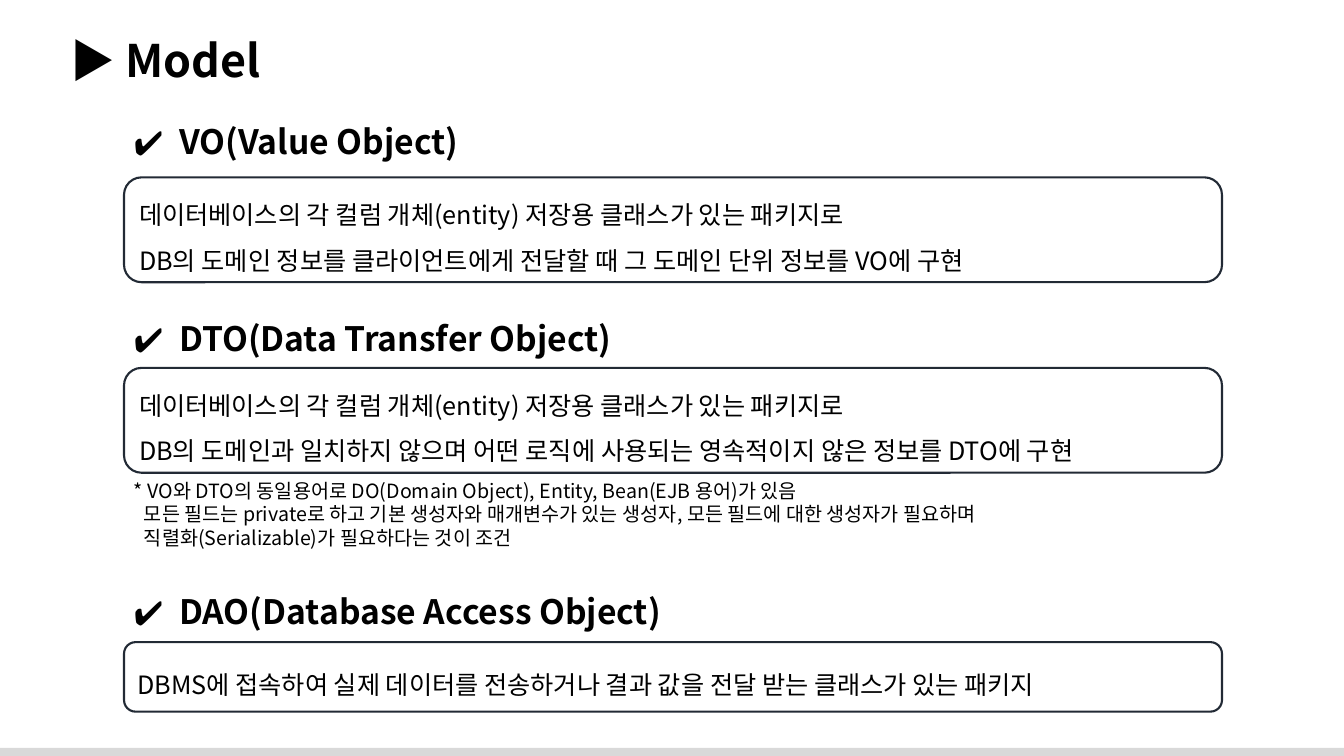
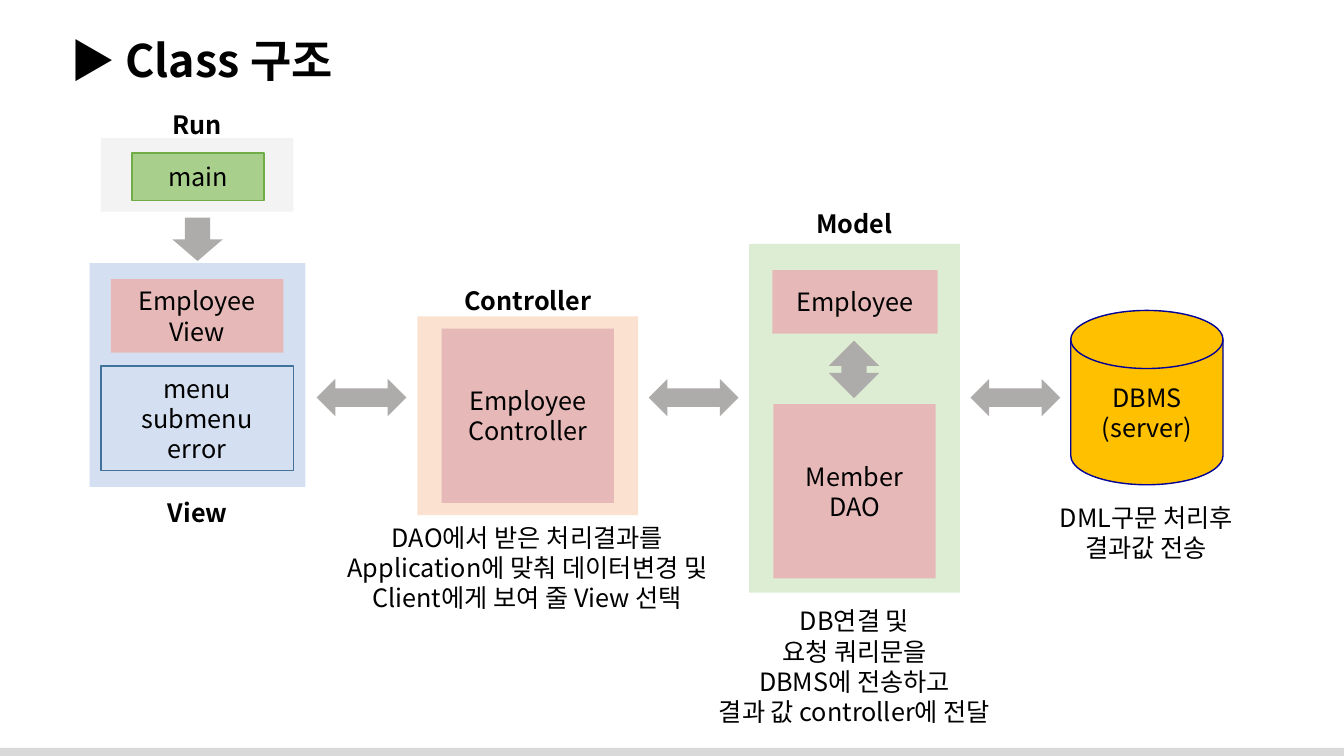
"""Build two slides on the model layer and the class structure of an MVC program."""
import dataclasses
import pptx
import pptx.dml.color
import pptx.enum.shapes
import pptx.enum.text
import pptx.oxml.ns
import pptx.util
from lxml import etree

Inches = pptx.util.Inches
Pt = pptx.util.Pt
RGB = pptx.dml.color.RGBColor.from_string
SHAPE = pptx.enum.shapes.MSO_SHAPE
ALIGN = pptx.enum.text.PP_ALIGN
ANCHOR = pptx.enum.text.MSO_ANCHOR
qn = pptx.oxml.ns.qn


@dataclasses.dataclass(frozen=True)
class Theme:
    font: str = "Noto Sans CJK KR"
    text: str = "000000"
    band: str = "D9D9D9"
    frame: str = "222A35"
    arrow: str = "AEABAB"
    run: str = "EAEAEA"
    view: str = "B3C6E7"
    controller: str = "F7CAAC"
    model: str = "C4E0B2"
    class_box: str = "E6B9B8"
    main: str = "A8D08C"
    main_line: str = "70AD47"
    menu_line: str = "42719B"
    disk: str = "FFC000"
    disk_line: str = "000099"
    title_size: int = 32
    heading_size: int = 24
    body_size: int = 18
    note_size: int = 14


T = Theme()

MODEL_TITLE = "▶ Model"
ENTITY = "데이터베이스의 각 컬럼 개체(entity) 저장용 클래스가 있는 패키지로"
SECTIONS = [
    ("VO(Value Object)", 1.15, 1.76, 1.04,
     [ENTITY, "DB의 도메인 정보를 클라이언트에게 전달할 때 그 도메인 단위 정보를 VO에 구현"]),
    ("DTO(Data Transfer Object)", 3.1, 3.65, 1.04,
     [ENTITY, "DB의 도메인과 일치하지 않으며 어떤 로직에 사용되는 영속적이지 않은 정보를 DTO에 구현"]),
    ("DAO(Database Access Object)", 5.81, 6.37, 0.69,
     ["DBMS에 접속하여 실제 데이터를 전송하거나 결과 값을 전달 받는 클래스가 있는 패키지"]),
]
NOTE = [
    "* VO와 DTO의 동일용어로 DO(Domain Object), Entity, Bean(EJB 용어)가 있음",
    "모든 필드는 private로 하고 기본 생성자와 매개변수가 있는 생성자, 모든 필드에 대한 생성자가 필요하며",
    "직렬화(Serializable)가 필요하다는 것이 조건",
]
LEFT, WIDTH = 1.23, 10.89

CLASS_TITLE = "▶ Class 구조"
PANELS = {
    "Run": ((1, 1.37, 1.91, 0.73), T.run, 1.04),
    "View": ((0.89, 2.61, 2.14, 2.22), T.view, 4.88),
    "Controller": ((4.14, 3.14, 2.19, 1.97), T.controller, 2.78),
    "Model": ((7.43, 2.42, 2.09, 3.46), T.model, 2.02),
}
BOXES = [
    ((1.31, 1.52, 1.31, 0.47), ["main"], T.main, T.main_line),
    ((1.1, 2.77, 1.71, 0.73), ["Employee View"], T.class_box, None),
    ((1, 3.63, 1.91, 1.04), ["menu", "submenu", "error"], None, T.menu_line),
    ((4.38, 3.26, 1.71, 1.73), ["Employee", "Controller"], T.class_box, None),
    ((7.66, 2.68, 1.64, 0.63), ["Employee"], T.class_box, None),
    ((7.67, 4.01, 1.61, 1.73), ["Member", "DAO"], T.class_box, None),
]
DISK = (10.62, 3.08, 1.51, 1.73)
DISK_TEXT = ["DBMS", "(server)"]
CAPTIONS = [
    ((3.12, 5.13, 4.22, 1.01),
     ["DAO에서 받은 처리결과를 Application에 맞춰 데이터변경 및 Client에게 보여 줄 View 선택"]),
    ((6.94, 5.96, 3.07, 1.31),
     ["DB연결 및", "요청 쿼리문을", "DBMS에 전송하고", "결과 값 controller에 전달"]),
    ((10.26, 4.93, 2.22, 0.71), ["DML구문 처리후 결과값 전송"]),
]
VERTICAL_ARROWS = [
    (SHAPE.DOWN_ARROW, (1.71, 2.16, 0.5, 0.43)),
    (SHAPE.UP_DOWN_ARROW, (8.22, 3.38, 0.5, 0.57)),
]
ARROW_TOP, ARROW_W, ARROW_H = 3.76, 0.89, 0.37


def set_all(obj, values):
    for name, value in values.items():
        setattr(obj, name, value)


def write(sp, lines, size=T.body_size, bold=False, align=ALIGN.LEFT,
          spacing=None, anchor=ANCHOR.TOP):
    tf = sp.text_frame
    set_all(tf, {"word_wrap": True, "vertical_anchor": anchor,
                 "margin_left": Inches(0.1), "margin_right": Inches(0.1),
                 "margin_top": Inches(0.05), "margin_bottom": Inches(0.05)})
    for i, line in enumerate(lines):
        p = tf.add_paragraph() if i else tf.paragraphs[0]
        set_all(p, {"alignment": align, "line_spacing": spacing})
        r = p.add_run()
        r.text = line
        set_all(r.font, {"name": T.font, "size": Pt(size), "bold": bold})
        r.font.color.rgb = RGB(T.text)
        etree.SubElement(r._r.get_or_add_rPr(), qn("a:ea"), typeface=T.font)
    return tf.paragraphs


def add_text(s, at, lines, **style):
    return write(s.shapes.add_textbox(*map(Inches, at)), lines, **style)


def add_shape(s, kind, at, fill=None, line=None, line_width=1, alpha=None):
    sp = s.shapes.add_shape(kind, *map(Inches, at))
    sp.shadow.inherit = False
    if fill:
        sp.fill.solid()
        sp.fill.fore_color.rgb = RGB(fill)
    else:
        sp.fill.background()
    if line:
        sp.line.color.rgb = RGB(line)
        sp.line.width = Pt(line_width)
    else:
        sp.line.fill.background()
    if alpha:
        color = sp.element.spPr.find(qn("a:solidFill")).find(qn("a:srgbClr"))
        etree.SubElement(color, qn("a:alpha"), val=str(alpha * 1000))
    return sp


def indent(p, left, first=0):
    pPr = p._p.get_or_add_pPr()
    pPr.set("marL", str(Inches(left)))
    pPr.set("indent", str(Inches(first)))
    return pPr


def add_check(p):
    pPr = indent(p, 0.45, -0.45)
    color = etree.SubElement(pPr, qn("a:buClr"))
    etree.SubElement(color, qn("a:srgbClr"), val=T.text)
    etree.SubElement(pPr, qn("a:buFont"), typeface=T.font)
    etree.SubElement(pPr, qn("a:buChar"), char="✔")


def new_slide(prs, title):
    s = prs.slides.add_slide(prs.slide_layouts[6])
    add_shape(s, SHAPE.RECTANGLE, (-0.03, 7.42, 13.39, 0.11), T.band)
    add_text(s, (0.6, 0.28, 12.6, 0.64), [title], size=T.title_size, bold=True)
    return s


def build_model(prs):
    s = new_slide(prs, MODEL_TITLE)
    for heading, heading_top, top, height, lines in SECTIONS:
        ps = add_text(s, (LEFT, heading_top, 6, 0.5), [heading],
                      size=T.heading_size, bold=True)
        add_check(ps[0])
        sp = add_shape(s, SHAPE.ROUNDED_RECTANGLE, (LEFT, top, WIDTH, height),
                       line=T.frame, line_width=1.5)
        write(sp, lines, spacing=1.5, anchor=ANCHOR.MIDDLE)
    for p in add_text(s, (LEFT, 4.7, 9.53, 0.81), NOTE, size=T.note_size)[1:]:
        indent(p, 0.1)


def build_classes(prs):
    s = new_slide(prs, CLASS_TITLE)
    for name, (at, fill, label_top) in PANELS.items():
        add_shape(s, SHAPE.RECTANGLE, at, fill, alpha=56)
        add_text(s, (at[0], label_top, at[2], 0.4), [name],
                 bold=True, align=ALIGN.CENTER)
    centred = {"align": ALIGN.CENTER, "anchor": ANCHOR.MIDDLE}
    for at, lines, fill, line in BOXES:
        write(add_shape(s, SHAPE.RECTANGLE, at, fill, line), lines, **centred)
    disk = add_shape(s, SHAPE.FLOWCHART_MAGNETIC_DISK, DISK, T.disk, T.disk_line)
    write(disk, DISK_TEXT, **centred)
    for at, lines in CAPTIONS:
        add_text(s, at, lines, align=ALIGN.CENTER)
    for kind, at in VERTICAL_ARROWS:
        add_shape(s, kind, at, T.arrow)
    chain = [PANELS[name][0] for name in ("View", "Controller", "Model")] + [DISK]
    for a, b in zip(chain, chain[1:]):
        left = (a[0] + a[2] + b[0] - ARROW_W) / 2
        add_shape(s, SHAPE.LEFT_RIGHT_ARROW,
                  (left, ARROW_TOP, ARROW_W, ARROW_H), T.arrow)


def main():
    prs = pptx.Presentation()
    set_all(prs, {"slide_width": Inches(13.33), "slide_height": Inches(7.5)})
    build_model(prs)
    build_classes(prs)
    prs.save("out.pptx")


if __name__ == "__main__":
    main()
